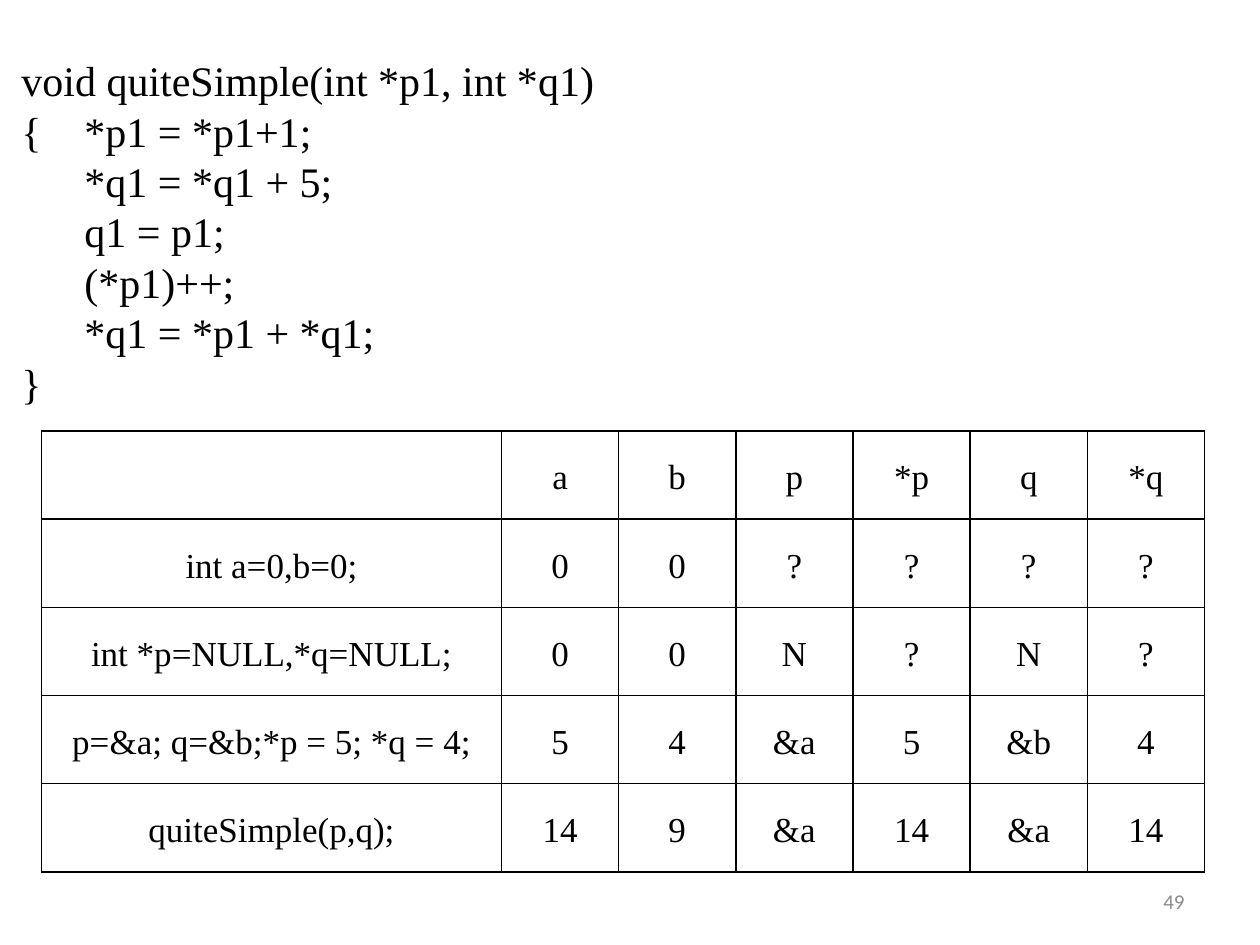
from lxml.etree import SubElement
from pptx import Presentation
from pptx.dml.color import RGBColor
from pptx.enum.text import MSO_ANCHOR, PP_ALIGN
from pptx.oxml.ns import qn
from pptx.util import Inches, Pt

BLACK = "000000"
GRAY = "8C8C8C"
SERIF = "Times New Roman"


def write(para, text, font=SERIF, size=24, color=BLACK, align=PP_ALIGN.LEFT, spacing=1.0):
    para.alignment = align
    para.line_spacing = spacing
    span = para.add_run()
    span.text = text
    span.font.name = font
    span.font.size = Pt(size)
    span.font.color.rgb = RGBColor.from_string(color)


def add_borders(cell, color=BLACK, width=1):
    properties = cell._tc.get_or_add_tcPr()
    for position, side in enumerate(("lnL", "lnR", "lnT", "lnB")):
        line = properties.makeelement(qn(f"a:{side}"), {"w": str(Pt(width))})
        fill = SubElement(line, qn("a:solidFill"))
        SubElement(fill, qn("a:srgbClr"), val=color)
        properties.insert(position, line)


deck = Presentation()
deck.slide_width = Inches(10)
deck.slide_height = Inches(7.5)
page = deck.slides.add_slide(deck.slide_layouts[6])

number_box = page.shapes.add_textbox(Inches(7.17), Inches(6.95), Inches(2.33), Inches(0.4))
number_box.text_frame.word_wrap = True
number_box.text_frame.vertical_anchor = MSO_ANCHOR.MIDDLE
write(number_box.text_frame.paragraphs[0], "49", font="Calibri", size=12, color=GRAY,
      align=PP_ALIGN.RIGHT)

trace = [
    ["", "a", "b", "p", "*p", "q", "*q"],
    ["int a=0,b=0;", "0", "0", "?", "?", "?", "?"],
    ["int *p=NULL,*q=NULL;", "0", "0", "N", "?", "N", "?"],
    ["p=&a; q=&b;*p = 5; *q = 4;", "5", "4", "&a", "5", "&b", "4"],
    ["quiteSimple(p,q);", "14", "9", "&a", "14", "&a", "14"],
]
column_widths = [3.65] + [0.93] * 6
row_height = 0.7
table = page.shapes.add_table(
    len(trace), len(column_widths), Inches(0.33), Inches(3.42),
    Inches(sum(column_widths)), Inches(row_height * len(trace))).table
table.first_row = False
table.horz_banding = False
for column, width in zip(table.columns, column_widths):
    column.width = Inches(width)
for row, values in zip(table.rows, trace):
    row.height = Inches(row_height)
    for cell, value in zip(row.cells, values):
        cell.vertical_anchor = MSO_ANCHOR.MIDDLE
        cell.margin_left = cell.margin_right = Inches(0.07)
        cell.margin_top = cell.margin_bottom = 0
        cell.fill.background()
        add_borders(cell)
        if value:
            write(cell.text_frame.paragraphs[0], value, size=20, align=PP_ALIGN.CENTER,
                  spacing=1.15)

code_lines = [
    "void quiteSimple(int *p1, int *q1)",
    "{\t*p1 = *p1+1;",
    "\t*q1 = *q1 + 5;",
    "\tq1 = p1;",
    "\t(*p1)++;",
    "\t*q1 = *p1 + *q1;",
    "}",
]
code_box = page.shapes.add_textbox(Inches(0.17), Inches(0.42), Inches(10), Inches(2.97))
frame = code_box.text_frame
frame.word_wrap = True
frame.vertical_anchor = MSO_ANCHOR.MIDDLE
frame.margin_left = frame.margin_top = frame.margin_right = 0
frame.margin_bottom = Inches(0.14)
for index, code_line in enumerate(code_lines):
    para = frame.add_paragraph() if index else frame.paragraphs[0]
    write(para, code_line)

deck.save("out.pptx")
